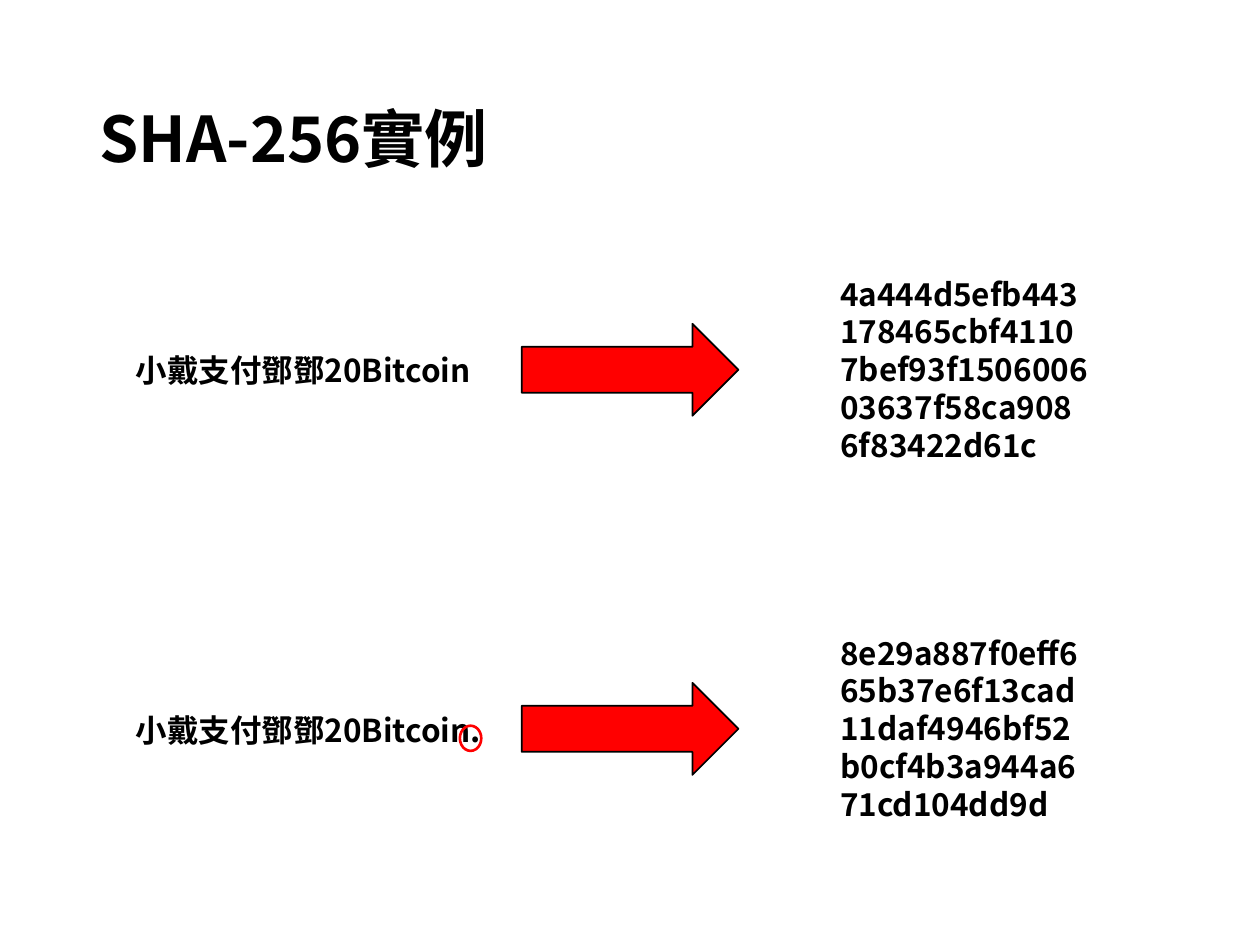
from dataclasses import dataclass

from lxml.etree import SubElement
from pptx import Presentation
from pptx.dml.color import RGBColor
from pptx.enum.shapes import MSO_SHAPE as Shape
from pptx.enum.text import MSO_ANCHOR as Anchor, MSO_AUTO_SIZE as AutoSize, PP_ALIGN as Align
from pptx.oxml.ns import qn
from pptx.util import Inches, Pt


@dataclass(frozen=True)
class Theme:
    font: str = "Noto Sans CJK SC"
    ink: RGBColor = RGBColor(0, 0, 0)
    accent: RGBColor = RGBColor(0xFF, 0, 0)
    title_size: float = 36
    body_size: float = 18
    body_leading: float = 21.6


class SlideBuilder:
    """Holds the theme and the slide being built."""

    def __init__(self, slide, theme):
        self.slide = slide
        self.theme = theme

    def style(self, paragraph, size):
        paragraph.alignment = Align.LEFT
        for run in paragraph.runs:
            run.font.name = self.theme.font
            run.font.size = Pt(size)
            run.font.bold = True
            run.font.color.rgb = self.theme.ink
            # East Asian characters take their own typeface entry
            SubElement(run.font._element, qn("a:ea"), typeface=self.theme.font)

    def title(self, text, box):
        heading = self.slide.shapes.title
        heading.left, heading.top, heading.width, heading.height = map(Inches, box)
        frame = heading.text_frame
        frame.text = text
        frame.vertical_anchor = Anchor.MIDDLE
        frame.paragraphs[0].line_spacing = 0.9
        self.style(frame.paragraphs[0], self.theme.title_size)

    def text(self, text, box):
        frame = self.slide.shapes.add_textbox(*map(Inches, box)).text_frame
        frame.text = text
        frame.word_wrap = True
        frame.auto_size = AutoSize.SHAPE_TO_FIT_TEXT
        frame.paragraphs[0].line_spacing = Pt(self.theme.body_leading)
        self.style(frame.paragraphs[0], self.theme.body_size)

    def shape(self, kind, box, line, width, fill=None):
        drawn = self.slide.shapes.add_shape(kind, *map(Inches, box))
        drawn.shadow.inherit = False
        drawn.line.color.rgb = line
        drawn.line.width = Pt(width)
        if fill is None:
            drawn.fill.background()
        else:
            drawn.fill.solid()
            drawn.fill.fore_color.rgb = fill

    def arrow(self, box):
        self.shape(Shape.RIGHT_ARROW, box, self.theme.ink, 1, self.theme.accent)

    def ring(self, box):
        self.shape(Shape.OVAL, box, self.theme.accent, 1.5)


# Each message with its SHA-256 digest
EXAMPLES = [
    ("小戴支付鄧鄧20Bitcoin",
     "4a444d5efb443178465cbf41107bef93f150600603637f58ca9086f83422d61c"),
    ("小戴支付鄧鄧20Bitcoin.",
     "8e29a887f0eff665b37e6f13cad11daf4946bf52b0cf4b3a944a671cd104dd9d"),
]
FIRST_ROW, ROW_PITCH = 2.13, 2.85


def main():
    deck = Presentation()
    deck.slide_width, deck.slide_height = Inches(10), Inches(7.5)
    title_only = deck.slide_layouts[5]
    builder = SlideBuilder(deck.slides.add_slide(title_only), Theme())

    builder.title("SHA-256實例", (0.69, 0.4, 8.62, 1.45))

    # One row per example: message, arrow, digest
    for row, (message, digest) in enumerate(EXAMPLES):
        top = FIRST_ROW + row * ROW_PITCH
        builder.text(message, (0.98, top + 0.61, 3.04, 0.4))
        builder.arrow((4.14, top + 0.44, 1.72, 0.73))
        builder.text(digest, (6.57, top, 2.17, 1.62))

    # Mark the added full stop
    builder.ring((3.65, 5.76, 0.17, 0.2))

    deck.save("out.pptx")


if __name__ == "__main__":
    main()
